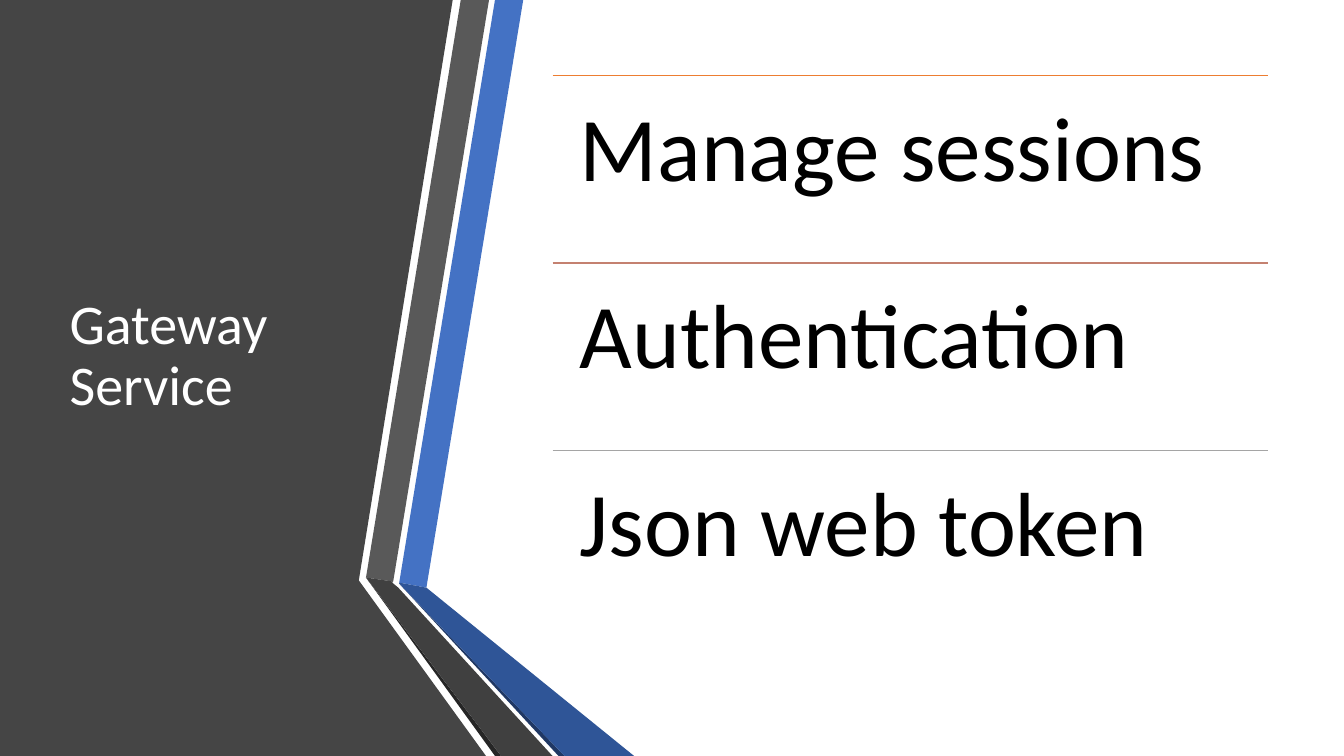
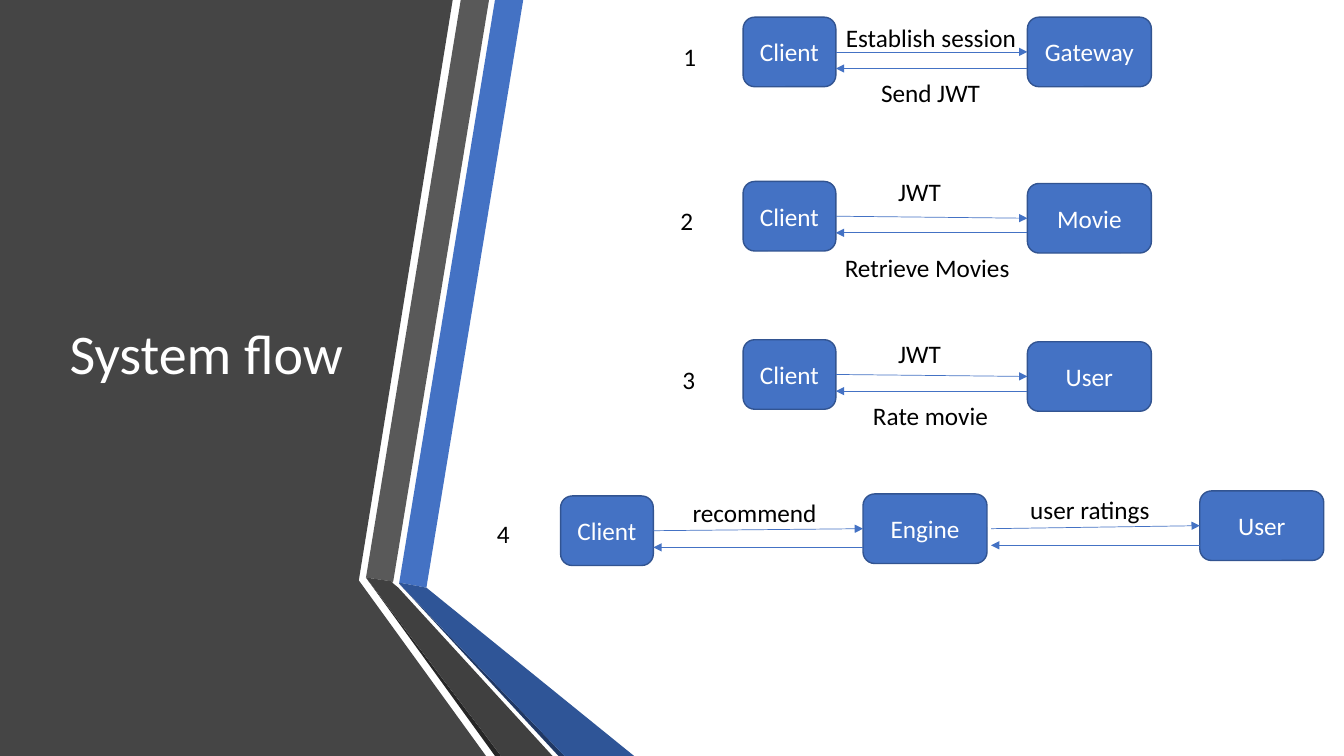
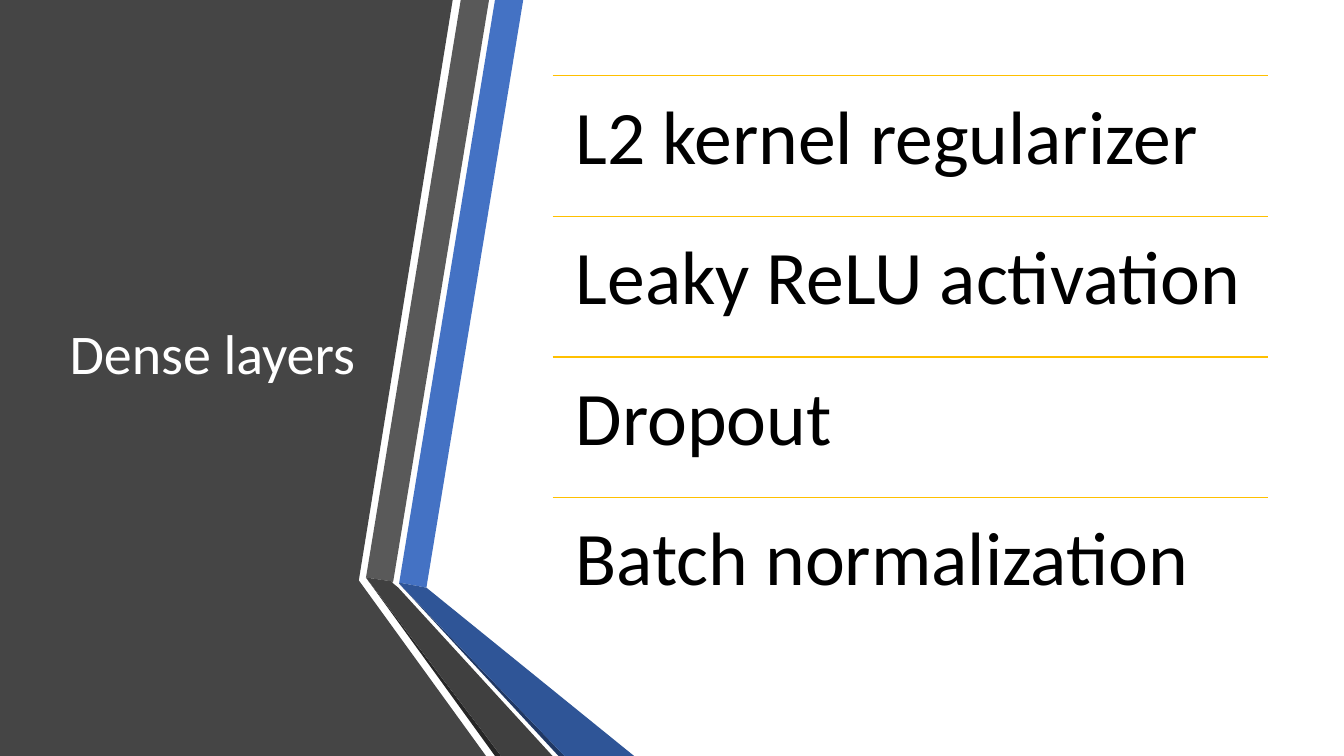
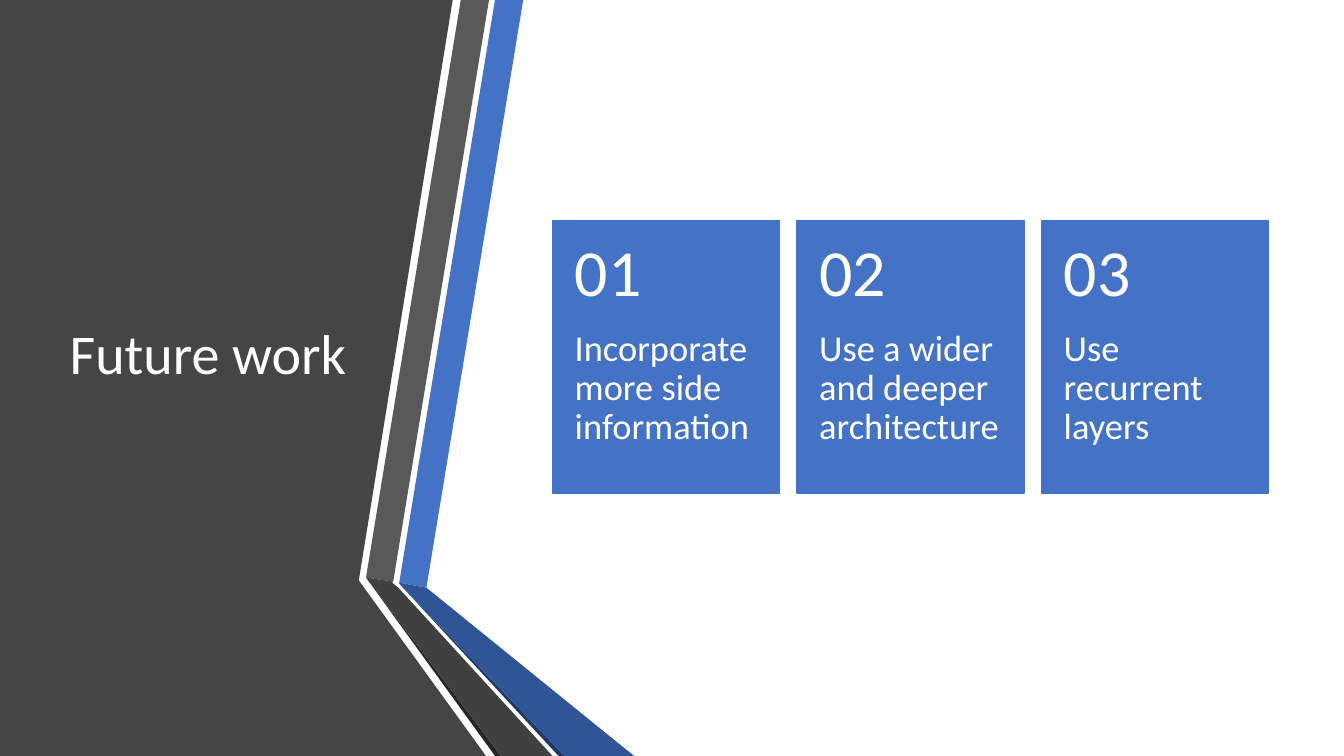
from dataclasses import dataclass
from itertools import pairwise

from lxml import etree
from pptx import Presentation
from pptx.dml.color import RGBColor
from pptx.enum.shapes import MSO_CONNECTOR, MSO_SHAPE
from pptx.enum.text import MSO_ANCHOR, MSO_AUTO_SIZE, PP_ALIGN
from pptx.oxml.ns import qn
from pptx.shapes.autoshape import Shape
from pptx.slide import Slide
from pptx.util import Inches, Pt

STRAIGHT = MSO_CONNECTOR.STRAIGHT
RECTANGLE = MSO_SHAPE.RECTANGLE
ROUNDED_RECTANGLE = MSO_SHAPE.ROUNDED_RECTANGLE
TOP, MIDDLE = MSO_ANCHOR.TOP, MSO_ANCHOR.MIDDLE
LEFT, CENTER = PP_ALIGN.LEFT, PP_ALIGN.CENTER

WHITE = RGBColor(0xFF, 0xFF, 0xFF)
BLACK = RGBColor(0x00, 0x00, 0x00)
PANEL_GRAY = RGBColor(0x45, 0x45, 0x45)
BAND_GRAY = RGBColor(0x59, 0x59, 0x59)
FOLD_GRAY = RGBColor(0x40, 0x40, 0x40)
EDGE_GRAY = RGBColor(0x26, 0x26, 0x26)
BLUE = RGBColor(0x44, 0x72, 0xC4)
FOLD_BLUE = RGBColor(0x2F, 0x55, 0x97)
EDGE_BLUE = RGBColor(0x20, 0x38, 0x64)
OUTLINE_BLUE = RGBColor(0x32, 0x54, 0x91)
ORANGE = RGBColor(0xED, 0x7D, 0x31)
ROSE = RGBColor(0xC4, 0x81, 0x70)
SILVER = RGBColor(0xA5, 0xA5, 0xA5)
GOLD = RGBColor(0xFF, 0xC0, 0x00)

FONT = "Calibri"
TITLE_ONLY_LAYOUT = 5
CONTENT_LEFT, CONTENT_TOP = 5.48, 0.75
CONTENT_WIDTH, CONTENT_HEIGHT = 7.1, 5.58
DEFAULT_INSETS = (0.1, 0.05, 0.1, 0.05)
NODE_HEIGHT = 0.69
REPLY_OFFSET = 0.51


@dataclass(frozen=True)
class Band:
    color: RGBColor
    points: tuple[tuple[float, float], ...]


@dataclass(frozen=True)
class Node:
    text: str
    left: float
    top: float
    width: float = 1.23
    gap: float = 0  # space between the node and the arrows on its right


@dataclass(frozen=True)
class Label:
    text: str
    left: float
    top: float
    width: float


@dataclass(frozen=True)
class Step:
    nodes: tuple[Node, ...]
    labels: tuple[Label, ...]


BANDS = (
    Band(PANEL_GRAY, ((0, 0), (4.49, 0), (3.56, 5.75), (3.56, 5.76),
                      (4.82, 7.5), (0, 7.5))),
    Band(BLUE, ((3.96, 5.78), (4.23, 5.83), (5.19, 0), (4.91, 0))),
    Band(BAND_GRAY, ((4.85, 0), (4.57, 0), (3.63, 5.73), (3.9, 5.77))),
    Band(EDGE_GRAY, ((3.63, 5.73), (4.91, 7.5), (4.97, 7.5))),
    Band(EDGE_BLUE, ((3.96, 5.79), (5.54, 7.5), (5.6, 7.5))),
    Band(FOLD_BLUE, ((3.96, 5.79), (5.6, 7.5), (6.29, 7.5), (4.23, 5.83),
                     (3.96, 5.78))),
    Band(FOLD_GRAY, ((5.48, 7.5), (3.95, 5.83), (3.89, 5.78), (3.9, 5.77),
                     (3.63, 5.73), (4.97, 7.5))),
)

STEPS = (
    Step((Node("Client", 7.37, 0.17, 0.92), Node("Gateway", 10.19, 0.17)),
         (Label("1", 6.68, 0.36, 0.33),
          Label("Establish session", 8.29, 0.17, 1.91),
          Label("Send JWT", 8.64, 0.72, 1.2))),
    Step((Node("Client", 7.37, 1.8, 0.92), Node("Movie", 10.19, 1.82)),
         (Label("2", 6.65, 1.99, 0.33),
          Label("JWT", 8.81, 1.7, 0.63),
          Label("Retrieve Movies", 8.28, 2.45, 1.85))),
    Step((Node("Client", 7.37, 3.37, 0.92), Node("User", 10.19, 3.39)),
         (Label("3", 6.67, 3.57, 0.33),
          Label("JWT", 8.81, 3.31, 0.63),
          Label("Rate movie", 8.56, 3.92, 1.35))),
    Step((Node("Client", 5.56, 4.92, 0.92), Node("Engine", 8.56, 4.9, gap=0.04),
          Node("User", 11.9, 4.87)),
         (Label("4", 4.83, 5.09, 0.33),
          Label("recommend", 6.77, 4.88, 1.45),
          Label("user ratings", 10.12, 4.86, 1.4))),
)

GATEWAY_ROWS = (("Manage sessions", ORANGE), ("Authentication", ROSE),
                ("Json web token", SILVER))
LAYER_ROWS = tuple((text, GOLD) for text in (
    "L2 kernel regularizer", "Leaky ReLU activation", "Dropout",
    "Batch normalization"))
FUTURE_WORK = ("Incorporate more side information",
               "Use a wider and deeper architecture",
               "Use recurrent layers")


def write_text(shape: Shape, text: str, *, size: float, color: RGBColor = BLACK,
               alignment: PP_ALIGN = LEFT, anchor: MSO_ANCHOR = TOP,
               insets: tuple[float, float, float, float] = DEFAULT_INSETS,
               line_spacing: float = 1.0, wrap: bool = True) -> None:
    frame = shape.text_frame
    frame.auto_size = MSO_AUTO_SIZE.NONE
    frame.word_wrap = wrap
    frame.vertical_anchor = anchor
    (frame.margin_left, frame.margin_top,
     frame.margin_right, frame.margin_bottom) = map(Inches, insets)
    paragraph = frame.paragraphs[0]
    paragraph.alignment = alignment
    paragraph.line_spacing = line_spacing
    run = paragraph.add_run()
    run.text = text
    run.font.name = FONT
    run.font.size = Pt(size)
    run.font.color.rgb = color


def add_text(slide: Slide, text: str, left: float, top: float, width: float,
             height: float, **text_format) -> None:
    box = slide.shapes.add_textbox(*map(Inches, (left, top, width, height)))
    write_text(box, text, **text_format)


def add_box(slide: Slide, kind: MSO_SHAPE, left: float, top: float, width: float,
            height: float, outline: RGBColor) -> Shape:
    box = slide.shapes.add_shape(kind, *map(Inches, (left, top, width, height)))
    box.shadow.inherit = False
    box.fill.solid()
    box.fill.fore_color.rgb = BLUE
    box.line.color.rgb = outline
    box.line.width = Pt(1)
    return box


def add_line(slide: Slide, start: tuple[float, float], end: tuple[float, float],
             color: RGBColor, width: float, arrow: bool = False) -> None:
    connector = slide.shapes.add_connector(STRAIGHT, *map(Inches, start + end))
    connector.line.color.rgb = color
    connector.line.width = Pt(width)
    properties = connector.element.spPr
    if arrow:
        outline = properties.find(qn("a:ln"))
        etree.SubElement(outline, qn("a:tailEnd"), type="triangle")
    etree.SubElement(properties, qn("a:effectLst"))


def add_band(slide: Slide, band: Band) -> None:
    start, *others = [(Inches(x), Inches(y)) for x, y in band.points]
    builder = slide.shapes.build_freeform(*start)
    builder.add_line_segments(others, close=True)
    shape = builder.convert_to_shape()
    shape.shadow.inherit = False
    shape.fill.solid()
    shape.fill.fore_color.rgb = band.color
    shape.line.fill.background()


def add_titled_slide(presentation: Presentation, title_text: str) -> Slide:
    """Add a slide with the side panel, its folded bands and the title."""
    slide = presentation.slides.add_slide(
        presentation.slide_layouts[TITLE_ONLY_LAYOUT])
    for band in BANDS:
        add_band(slide, band)
    title = slide.shapes.title
    title.left, title.top = Inches(0.59), Inches(CONTENT_TOP)
    title.width, title.height = Inches(3.04), Inches(CONTENT_HEIGHT)
    write_text(title, title_text, size=40, color=WHITE, anchor=MIDDLE,
               line_spacing=0.9)
    slide.shapes.element.append(title.element)  # bring in front of the panel
    return slide


def add_ruled_rows(slide: Slide, rows: tuple[tuple[str, RGBColor], ...],
                   size: float, inset: float) -> None:
    height = CONTENT_HEIGHT / len(rows)
    for index, (text, color) in enumerate(rows):
        top = CONTENT_TOP + index * height
        add_line(slide, (CONTENT_LEFT, top),
                 (CONTENT_LEFT + CONTENT_WIDTH, top), color, 1)
        add_text(slide, text, CONTENT_LEFT, top, CONTENT_WIDTH, height,
                 size=size, insets=(inset,) * 4, line_spacing=0.9)


def add_exchange(slide: Slide, source: Node, target: Node) -> None:
    """Draw the request arrow and, below it, the reply arrow."""
    start_x = source.left + source.width + source.gap
    reply_y = source.top + REPLY_OFFSET
    request = ((start_x, source.top + NODE_HEIGHT / 2),
               (target.left, target.top + NODE_HEIGHT / 2))
    reply = ((target.left, reply_y), (start_x, reply_y))
    for start, end in (request, reply):
        add_line(slide, start, end, BLUE, 0.5, arrow=True)


def add_step(slide: Slide, step: Step) -> None:
    for node in step.nodes:
        box = add_box(slide, ROUNDED_RECTANGLE, node.left, node.top, node.width,
                      NODE_HEIGHT, OUTLINE_BLUE)
        write_text(box, node.text, size=18, color=WHITE, alignment=CENTER,
                   anchor=MIDDLE)
    for source, target in pairwise(step.nodes):
        add_exchange(slide, source, target)
    for label in step.labels:
        add_text(slide, label.text, label.left, label.top, label.width, 0.4,
                 size=18, wrap=False)


def add_numbered_cards(slide: Slide, texts: tuple[str, ...]) -> None:
    top, width, height, number_height = 2.19, 2.25, 2.7, 1.08
    pitch = (CONTENT_WIDTH - width) / (len(texts) - 1)
    for index, text in enumerate(texts):
        left = CONTENT_LEFT + index * pitch
        add_box(slide, RECTANGLE, left, top, width, height, BLUE)
        add_text(slide, text, left, top + number_height, width,
                 height - number_height, size=26, color=WHITE,
                 insets=(0.22, 0, 0.22, 0.36), line_spacing=0.9)
        add_text(slide, f"{index + 1:02}", left, top, width, number_height,
                 size=47, color=WHITE, anchor=MIDDLE,
                 insets=(0.22, 0.18, 0.22, 0.18), line_spacing=0.9)


def main() -> None:
    presentation = Presentation()
    presentation.slide_width = Inches(13.33)
    presentation.slide_height = Inches(7.5)

    add_ruled_rows(add_titled_slide(presentation, "Gateway Service"),
                   GATEWAY_ROWS, size=65, inset=0.27)
    flow_slide = add_titled_slide(presentation, "System flow")
    for step in STEPS:
        add_step(flow_slide, step)
    add_ruled_rows(add_titled_slide(presentation, "Dense layers"),
                   LAYER_ROWS, size=54, inset=0.23)
    add_numbered_cards(add_titled_slide(presentation, "Future work"), FUTURE_WORK)

    presentation.save("out.pptx")


if __name__ == "__main__":
    main()
